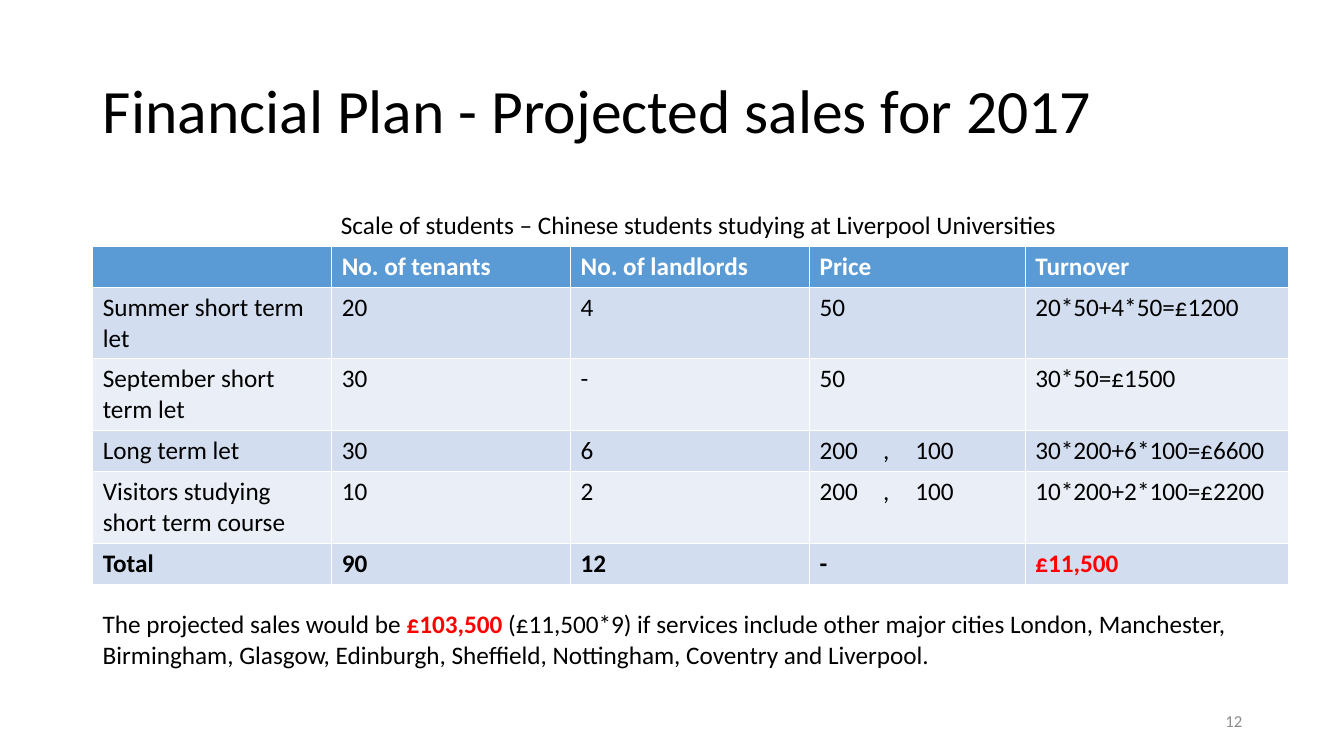
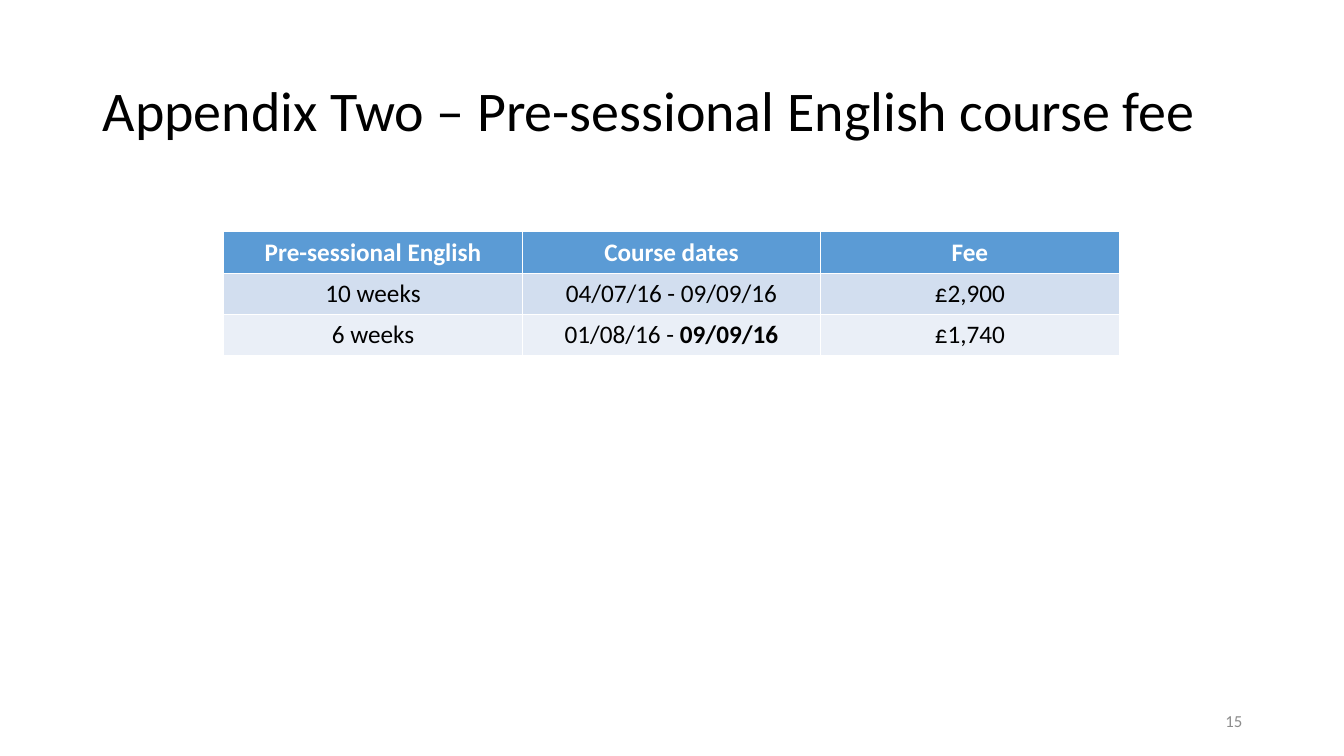
from dataclasses import dataclass

from lxml.etree import SubElement
from pptx import Presentation
from pptx.dml.color import RGBColor
from pptx.enum.text import MSO_ANCHOR, MSO_AUTO_SIZE, PP_ALIGN
from pptx.oxml.ns import qn
from pptx.util import Inches, Pt

FONT = "Calibri"
BLACK, WHITE, RED, GREY = "000000", "FFFFFF", "FF0000", "8C8C8C"
HEADER_FILL = "5B9BD5"
BAND_FILLS = ("D2DEEF", "EAEFF7")
PRICE_TABS = (0.63, 0.95)


@dataclass
class Span:
    """A stretch of bold text, in its own colour if one is given."""
    text: str
    color: str = BLACK


SALES = [
    ["", "No. of tenants", "No. of landlords", "Price", "Turnover"],
    ["Summer short term let", "20", "4", "50", "20*50+4*50=£1200"],
    ["September short term let", "30", "-", "50", "30*50=£1500"],
    ["Long term let", "30", "6", "200\t,\t100", "30*200+6*100=£6600"],
    ["Visitors studying short term course", "10", "2", "200\t,\t100", "10*200+2*100=£2200"],
    [Span("Total"), Span("90"), Span("12"), Span("-"), Span("£11,500", RED)],
]
SALES_NOTE = [
    "The projected sales would be ",
    Span("£103,500 ", RED),
    "(£11,500*9) if services include other major cities London, Manchester, "
    "Birmingham, Glasgow, Edinburgh, Sheffield, Nottingham, Coventry and Liverpool.",
]
FEES = [
    ["Pre-sessional English", "Course dates", "Fee"],
    ["10 weeks", "04/07/16 - 09/09/16", "£2,900"],
    ["6 weeks", ["01/08/16 - ", Span("09/09/16")], "£1,740"],
]


def rgb(color):
    """Turn a hex string into a colour."""
    return RGBColor.from_string(color)


def set_tabs(para, stops):
    """Give a paragraph left tab stops, in inches."""
    tabs = SubElement(para._p.get_or_add_pPr(), qn("a:tabLst"))
    for stop in stops:
        SubElement(tabs, qn("a:tab"), pos=str(Inches(stop)), algn="l")


def write(para, content, size=18, color=BLACK, align=PP_ALIGN.LEFT, bold=False):
    """Fill a paragraph with a string, a span or a list of both."""
    para.alignment = align
    for part in content if isinstance(content, list) else [content]:
        run = para.add_run()
        if isinstance(part, Span):
            run.text = part.text
            run.font.bold = True
            run.font.color.rgb = rgb(part.color)
        else:
            run.text = part
    if "\t" in "".join(run.text for run in para.runs):
        set_tabs(para, PRICE_TABS)
    para.font.name, para.font.size, para.font.bold = FONT, Pt(size), bold
    para.font.color.rgb = rgb(color)


def add_page(deck, title, number, size=44):
    """Add a slide with its title and page number."""
    page = deck.slides.add_slide(deck.slide_layouts[5])
    box = page.shapes.title
    box.left, box.top, box.width, box.height = map(Inches, (0.92, 0.4, 11.5, 1.45))
    frame = box.text_frame
    frame.auto_size, frame.word_wrap = MSO_AUTO_SIZE.NONE, True
    frame.vertical_anchor = MSO_ANCHOR.MIDDLE
    frame.paragraphs[0].line_spacing = 0.9
    write(frame.paragraphs[0], title, size)
    add_text(page, (9.42, 6.95, 3, 0.4), number, 12, GREY, PP_ALIGN.RIGHT, MSO_ANCHOR.MIDDLE)
    return page


def add_text(page, place, content, size=18, color=BLACK, align=PP_ALIGN.LEFT,
             anchor=MSO_ANCHOR.TOP):
    """Add a wrapping text box."""
    frame = page.shapes.add_textbox(*map(Inches, place)).text_frame
    frame.word_wrap, frame.vertical_anchor = True, anchor
    write(frame.paragraphs[0], content, size, color, align)


def add_grid(page, left, top, widths, heights, rows, align=PP_ALIGN.LEFT,
             anchor=MSO_ANCHOR.TOP):
    """Add a table with a header row and banded body rows."""
    place = map(Inches, (left, top, sum(widths), sum(heights)))
    table = page.shapes.add_table(len(rows), len(widths), *place).table
    for column, width in zip(table.columns, widths):
        column.width = Inches(width)
    for index, (row, height, contents) in enumerate(zip(table.rows, heights, rows)):
        row.height = Inches(height)
        header = index == 0
        fill = HEADER_FILL if header else BAND_FILLS[(index - 1) % 2]
        for cell, content in zip(row.cells, contents):
            cell.fill.solid()
            cell.fill.fore_color.rgb = rgb(fill)
            cell.vertical_anchor = anchor
            if content:
                write(cell.text_frame.paragraphs[0], content,
                      color=WHITE if header else BLACK, align=align, bold=header)


def add_sales(deck):
    """Build the projected sales slide."""
    page = add_page(deck, "Financial Plan - Projected sales for 2017", "12")
    add_grid(page, 0.92, 2.44, [2.37, 2.37, 2.37, 2.14, 2.61],
             [0.41, 0.71, 0.71, 0.41, 0.71, 0.41], SALES)
    add_text(page, (3.1, 2.03, 7.66, 0.4),
             "Scale of students – Chinese students studying at Liverpool Universities",
             align=PP_ALIGN.CENTER)
    add_text(page, (0.92, 5.99, 12.41, 0.71), SALES_NOTE)


def add_fees(deck):
    """Build the course fee slide."""
    page = add_page(deck, "Appendix Two – Pre-sessional English course fee", "15", 40)
    add_grid(page, 2.22, 2.3, [2.96] * 3, [0.41] * 3, FEES,
             PP_ALIGN.CENTER, MSO_ANCHOR.MIDDLE)


def main():
    """Build and save the deck."""
    deck = Presentation()
    deck.slide_width, deck.slide_height = Inches(13.33), Inches(7.5)
    add_sales(deck)
    add_fees(deck)
    deck.save("out.pptx")


if __name__ == "__main__":
    main()
